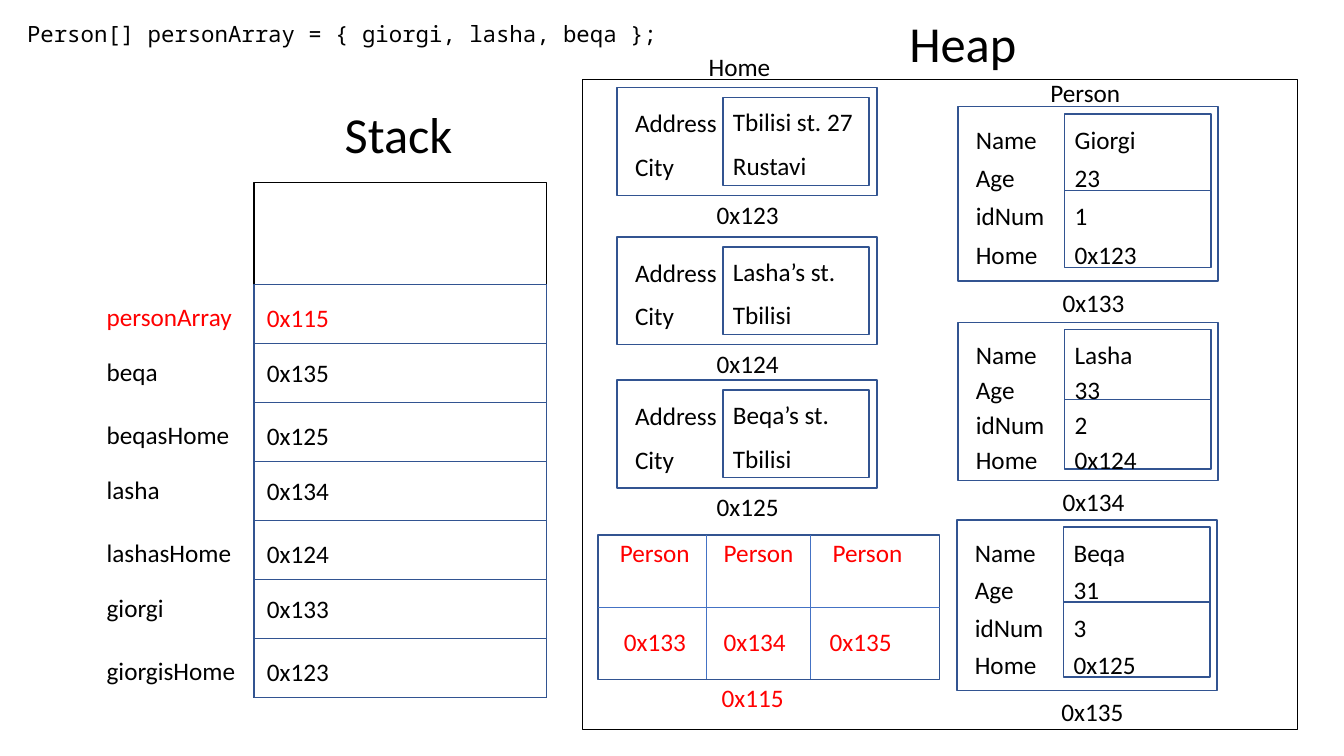
from pptx import Presentation
from pptx.dml.color import RGBColor
from pptx.enum.shapes import MSO_CONNECTOR as Connector, MSO_SHAPE as Shape
from pptx.oxml.ns import qn
from pptx.util import Inches, Pt
from lxml.etree import SubElement

BLACK, WHITE, RED = "000000", "FFFFFF", "FF0000"
NAVY, BLUE = "325491", "4472C4"
LINE_HEIGHT = 0.4

STACK = [
    ("personArray", "0x115"), ("beqa", "0x135"), ("beqasHome", "0x125"),
    ("lasha", "0x134"), ("lashasHome", "0x124"),
    ("giorgi", "0x133"), ("giorgisHome", "0x123"),
]
HOMES = [
    (0.87, "0x123", ["Tbilisi st. 27", "Rustavi"]),
    (2.35, "0x124", ["Lasha’s st.", "Tbilisi"]),
    (3.77, "0x125", ["Beqa’s st.", "Tbilisi"]),
]
PERSONS = [
    (9.5, 1.06, 1.73, "0x133", ["Giorgi", "23", "1", "0x123"]),
    (9.5, 3.2, 1.57, "0x134", ["Lasha", "33", "2", "0x124"]),
    (9.49, 5.16, 1.69, "0x135", ["Beqa", "31", "3", "0x125"]),
]
ARRAY_CELLS = [  # column left, type left, value left, value
    (0, 0.12, 0.16, "0x133"),
    (1.08, 1.15, 1.15, "0x134"),
    (2.11, 2.23, 2.2, "0x135"),
]


def colour(hex_text):
    return RGBColor.from_string(hex_text)


def add_box(page, left, top, width, height, outline=NAVY):
    box = page.shapes.add_shape(Shape.RECTANGLE, *map(Inches, (left, top, width, height)))
    box.shadow.inherit = False
    box.fill.solid()
    box.fill.fore_color.rgb = colour(WHITE)
    box.line.color.rgb = colour(outline)
    box.line.width = Pt(1)


def add_text(page, text, left, top, width=1.23, height=LINE_HEIGHT,
             ink=BLACK, size=18, face="Calibri"):
    box = page.shapes.add_textbox(*map(Inches, (left, top, width, height)))
    box.text_frame.word_wrap = True
    span = box.text_frame.paragraphs[0].add_run()
    span.text = text
    span.font.color.rgb = colour(ink)
    for name, value in {"size": Pt(size), "name": face}.items():
        setattr(span.font, name, value)


def add_rule(page, left, top, right, bottom):
    rule = page.shapes.add_connector(
        Connector.STRAIGHT, *map(Inches, (left, top, right, bottom)))
    rule.line.color.rgb = colour(BLUE)
    rule.line.width = Pt(0.5)
    SubElement(rule._element.spPr, qn("a:effectLst"))


def add_stack(page, left, top, width, height):
    add_box(page, left, top, width, height, BLACK)
    add_text(page, "Stack", left + 0.8, top - 0.84, 1.33, 0.71, size=36)
    first_row = top + 1.01
    row_height = (height - 1.01) / len(STACK)
    for index, (variable, address) in enumerate(STACK):
        row_top = first_row + index * row_height
        text_top = row_top + (0.08 if index % 2 else 0.12)
        ink = RED if variable == "personArray" else BLACK
        add_box(page, left, row_top, width, row_height)
        add_text(page, variable, left - 1.56, text_top, 1.5, ink=ink)
        add_text(page, address, left + 0.03, text_top + 0.01, 1.5, ink=ink)


def add_home(page, left, top, address, values):
    width, height = 2.58, 1.07
    add_box(page, left, top, width, height)
    add_box(page, left + 1.05, top + 0.1, 1.45, 0.87)
    add_text(page, address, left + 0.89, top + height - 0.01, 0.83)
    for index, (label, value) in enumerate(zip(["Address", "City"], values)):
        row_top = top + 0.15 + index * 0.435
        add_text(page, label, left + 0.08, row_top)
        add_text(page, value, left + 1.05, row_top - 0.01, 1.45)


def add_person(page, left, top, height, address, values):
    row_height = height * 0.22
    add_box(page, left, top, 2.58, height)
    for half in range(2):
        add_box(page, left + 1.06, top + 0.07 + half * 2 * row_height,
                1.45, 2 * row_height)
    labels = ["Name", "Age", "idNum", "Home"]
    for index, (label, value) in enumerate(zip(labels, values)):
        row_top = top + 0.12 + index * row_height
        add_text(page, label, left + 0.08, row_top)
        add_text(page, value, left + 1.06, row_top, 1.45)
    add_text(page, address, left + 0.94, top + height + 0.01, 0.83)


def add_array(page, left, top, width, height):
    add_box(page, left, top, width, height)
    for column, type_left, value_left, value in ARRAY_CELLS:
        if column:
            add_rule(page, left + column, top, left + column, top + height)
        add_text(page, "Person", left + type_left, top - 0.03, ink=RED)
        add_text(page, value, left + value_left, top + 0.85, 0.83, ink=RED)
    middle = top + height / 2
    add_rule(page, left, middle, left + width, middle)
    add_text(page, "0x115", left + 1.13, top + height - 0.02, 0.83, ink=RED)


def add_heap(page, left, top, width, height):
    add_box(page, left, top, width, height, BLACK)
    add_text(page, "Heap", left + 3.14, top - 0.72, 1.33, 0.71, size=36)
    add_text(page, "Home", left + 1.15, top - 0.33)
    for home_top, address, values in HOMES:
        add_home(page, left + 0.34, home_top, address, values)
    for person in PERSONS:
        add_person(page, *person)
    add_text(page, "Person", left + 4.54, top - 0.07)
    add_array(page, left + 0.15, top + 4.52, 3.39, 1.43)


def main():
    deck = Presentation()
    deck.slide_width, deck.slide_height = Inches(13.33), Inches(7.5)
    page = deck.slides.add_slide(deck.slide_layouts.get_by_name("Blank"))
    add_stack(page, 2.52, 1.81, 2.9, 5.11)
    add_heap(page, 5.78, 0.79, 7.09, 6.45)
    add_text(page, "Person[] personArray = { giorgi, lasha, beqa };",
             0.17, 0.15, 7.26, 0.37, size=16, face="Noto Sans Mono")
    deck.save("out.pptx")


if __name__ == "__main__":
    main()
